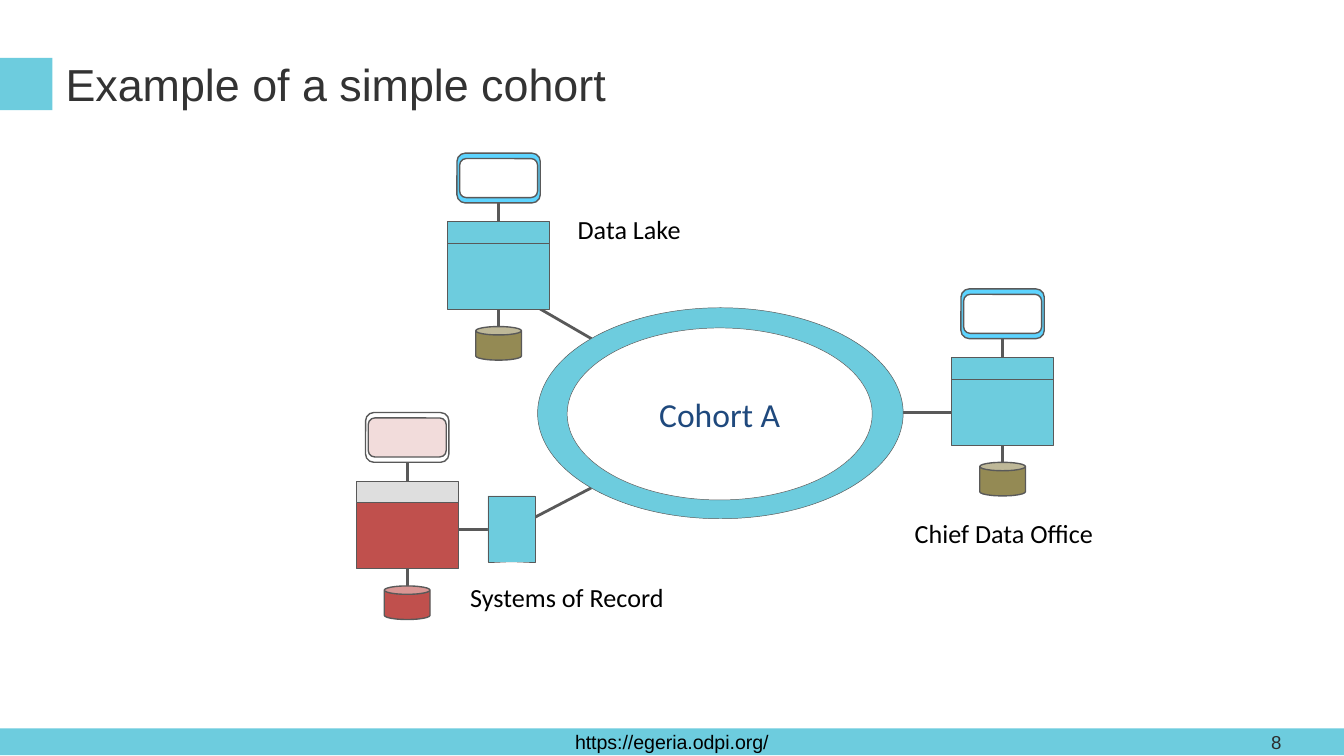
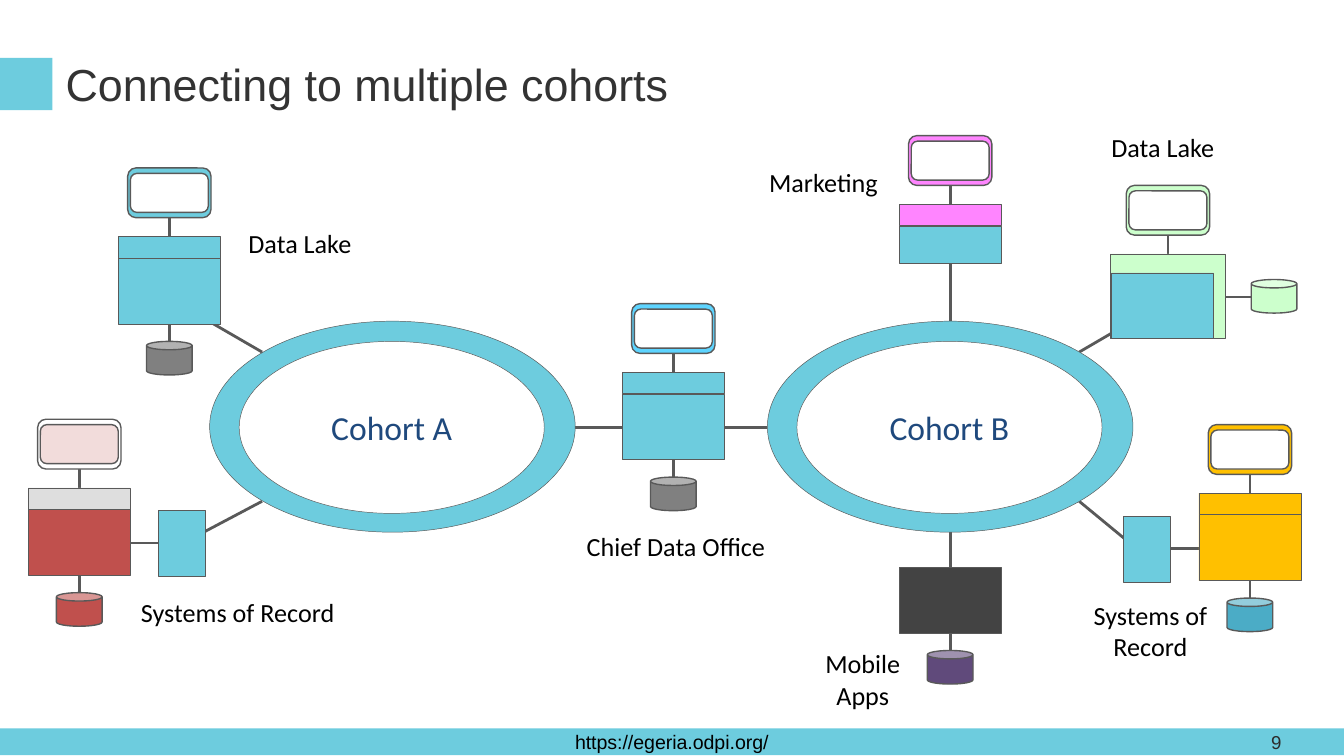
"""Build two slides showing systems that connect through metadata cohorts."""
from dataclasses import dataclass

from lxml import etree
from pptx import Presentation
from pptx.dml.color import RGBColor
from pptx.enum.shapes import MSO_CONNECTOR, MSO_SHAPE
from pptx.enum.text import MSO_ANCHOR, PP_ALIGN
from pptx.oxml.ns import qn
from pptx.util import Inches, Pt

RECT, ROUND = MSO_SHAPE.RECTANGLE, MSO_SHAPE.ROUNDED_RECTANGLE
OVAL, CAN = MSO_SHAPE.OVAL, MSO_SHAPE.CAN
STRAIGHT = MSO_CONNECTOR.STRAIGHT
LEFT, CENTER, RIGHT = PP_ALIGN.LEFT, PP_ALIGN.CENTER, PP_ALIGN.RIGHT
TOP, MIDDLE = MSO_ANCHOR.TOP, MSO_ANCHOR.MIDDLE


@dataclass(frozen=True)
class Theme:
    teal: str = "6DCCDE"
    sky: str = "5DD4FF"
    white: str = "FFFFFF"
    black: str = "000000"
    outline: str = "595959"
    title: str = "333333"
    number: str = "2C2C2C"
    navy: str = "1F497D"
    red: str = "C0504D"
    blush: str = "F2DCDB"
    silver: str = "DEDEDE"
    olive: str = "948A54"
    gray: str = "808080"
    amber: str = "FFC000"
    blue: str = "4BACC6"
    pink: str = "FF85FF"
    mint: str = "CCFFCC"
    charcoal: str = "434343"
    purple: str = "604A7B"
    heading_font: str = "Arial"
    diagram_font: str = "Calibri"
    title_size: float = 24
    cohort_size: float = 18
    label_size: float = 14
    footer_size: float = 10.5
    number_size: float = 10
    hairline: float = 0.25
    thin: float = 0.75
    link: float = 1.5


T = Theme()


def add_block(slide, preset, at, fill, weight=0):
    block = slide.shapes.add_shape(preset, *map(Inches, at))
    block.shadow.inherit = False
    block.fill.solid()
    block.fill.fore_color.rgb = RGBColor.from_string(fill)
    if weight:
        block.line.color.rgb = RGBColor.from_string(T.outline)
        block.line.width = Pt(weight)
    else:
        block.line.fill.background()
    return block


def write(holder, lines, size, font, color, align=LEFT, anchor=TOP, inset=0.05):
    frame = holder.text_frame
    frame.word_wrap = True
    frame.vertical_anchor = anchor
    frame.margin_left = frame.margin_right = Inches(0.1)
    frame.margin_top = frame.margin_bottom = Inches(inset)
    for index, line in enumerate(lines):
        paragraph = frame.add_paragraph() if index else frame.paragraphs[0]
        paragraph.alignment = align
        run = paragraph.add_run()
        run.text = line
        run.font.size = Pt(size)
        run.font.name = font
        run.font.color.rgb = RGBColor.from_string(color)


# Systems: centre, header top, body height, then colours of
# screen frame, screen, header, body and data store.
pages = [
    {
        "title": "Example of a simple cohort",
        "number": "8",
        "cohorts": [("Cohort A", 4, 2.29)],
        "links": [
            (3.71, 2.12, 4.4, 2.52), (3.71, 3.99, 4.4, 3.63),
            (6.72, 3.07, 7.08, 3.07), (3.41, 3.94, 3.63, 3.94),
        ],
        "adapters": [(3.63, 3.69)],
        "systems": [
            (3.71, 1.65, 0.49, T.sky, T.white, T.teal, T.teal, T.olive),
            (7.46, 2.66, 0.49, T.sky, T.white, T.teal, T.teal, T.olive),
            (3.03, 3.58, 0.49, T.white, T.blush, T.silver, T.red, T.red),
        ],
        "extras": [],
        "labels": [
            (["Chief Data Office"], 6.64, 3.8, 1.66, 0.34, CENTER),
            (["Data Lake"], 4.2, 1.54, 1.66, 0.34, LEFT),
            (["Systems of Record"], 3.4, 4.28, 1.66, 0.34, LEFT),
        ],
    },
    {
        "title": "Connecting to multiple cohorts",
        "number": "9",
        "cohorts": [("Cohort A", 1.56, 2.39), ("Cohort B", 5.71, 2.39)],
        "links": [
            (1.26, 2.22, 1.95, 2.62), (1.27, 4.09, 1.95, 3.73),
            (4.28, 3.18, 4.63, 3.18), (5.39, 3.18, 5.71, 3.18),
            (8.51, 2.34, 8.03, 2.62), (8.43, 4.06, 8.03, 3.73),
            (7.07, 1.86, 7.07, 2.39), (7.07, 4.22, 7.07, 3.96),
            (0.96, 4.04, 1.18, 4.04), (8.92, 4.08, 8.71, 4.08),
            (9.31, 2.21, 9.12, 2.21),
        ],
        "adapters": [(1.18, 3.8), (8.36, 3.84)],
        "systems": [
            (1.26, 1.76, 0.49, T.teal, T.white, T.teal, T.teal, T.gray),
            (0.59, 3.63, 0.49, T.white, T.blush, T.silver, T.red, T.red),
            (5.01, 2.77, 0.49, T.sky, T.white, T.teal, T.teal, T.gray),
            (9.3, 3.67, 0.49, T.amber, T.white, T.amber, T.amber, T.blue),
            (7.07, 1.52, 0.28, T.pink, T.white, T.pink, T.teal, None),
            (7.07, 4.06, 0.49, None, None, None, T.charcoal, T.purple),
            (8.69, 1.89, 0.49, T.mint, T.white, None, None, None),
        ],
        "extras": [
            (RECT, (8.26, 1.89, 0.86, 0.63), T.mint, T.hairline),
            (RECT, (8.27, 2.03, 0.76, 0.49), T.teal, T.hairline),
            (CAN, (9.31, 2.08, 0.34, 0.25), T.mint, T.thin),
        ],
        "labels": [
            (["Chief Data Office"], 4.2, 3.9, 1.66, 0.34, CENTER),
            (["Data Lake"], 1.75, 1.64, 1.66, 0.34, LEFT),
            (["Systems of Record"], 0.95, 4.39, 1.66, 0.34, LEFT),
            (["Mobile", "Apps"], 6.02, 4.77, 0.8, 0.57, CENTER),
            (["Data Lake"], 8.17, 0.93, 1.02, 0.34, LEFT),
            (["Systems of Record"], 7.8, 4.41, 1.52, 0.57, CENTER),
            (["Marketing"], 5.47, 1.19, 1.16, 0.34, RIGHT),
        ],
    },
]

deck = Presentation()
deck.slide_width = Inches(10)
deck.slide_height = deck.slide_width * 9 // 16

for page in pages:
    slide = deck.slides.add_slide(deck.slide_layouts[6])

    footer = add_block(slide, RECT, (0, 5.42, 10, 0.2), T.teal)
    write(footer, ["https://egeria.odpi.org/"], T.footer_size, T.heading_font,
          T.black, CENTER, MIDDLE)
    add_block(slide, RECT, (0, 0.43, 0.39, 0.39), T.teal)
    heading = slide.shapes.add_textbox(*map(Inches, (0.39, 0.32, 9.27, 0.62)))
    write(heading, [page["title"]], T.title_size, T.heading_font, T.title, inset=0.1)
    number = slide.shapes.add_textbox(*map(Inches, (9.36, 5.42, 0.6, 0.2)))
    write(number, [page["number"]], T.number_size, T.heading_font, T.number,
          anchor=MIDDLE, inset=0.1)

    links = list(page["links"])
    for center, top, height, frame, _, _, _, store in page["systems"]:
        if frame:
            links.append((center, top, center, top - 0.14))
        if store:
            links.append((center, top + 0.78, center, top + 0.16 + height))
    for ends in links:
        link = slide.shapes.add_connector(STRAIGHT, *map(Inches, ends))
        link.line.color.rgb = RGBColor.from_string(T.outline)
        link.line.width = Pt(T.link)
        etree.SubElement(link._element.spPr, qn("a:effectLst"))

    for name, left, top in page["cohorts"]:
        add_block(slide, OVAL, (left, top, 2.72, 1.57), T.teal, T.hairline)
        core = add_block(slide, OVAL, (left + 0.22, top + 0.15, 2.27, 1.28),
                         T.white, T.hairline)
        write(core, [name], T.cohort_size, T.diagram_font, T.navy, CENTER, MIDDLE)

    for left, top in page["adapters"]:
        add_block(slide, RECT, (left, top, 0.35, 0.49), T.teal, T.hairline)

    for center, top, height, frame, screen, header, body, store in page["systems"]:
        parts = [
            (RECT, 0.16, 0.76, height, body, T.hairline),
            (ROUND, -0.51, 0.62, 0.37, frame, T.thin),
            (ROUND, -0.47, 0.58, 0.29, screen, T.thin),
            (RECT, 0, 0.76, 0.16, header, T.hairline),
            (CAN, 0.78, 0.34, 0.25, store, T.thin),
        ]
        for preset, drop, wide, high, fill, weight in parts:
            if fill:
                add_block(slide, preset, (center - wide / 2, top + drop, wide, high),
                          fill, weight)

    for preset, at, fill, weight in page["extras"]:
        add_block(slide, preset, at, fill, weight)

    for lines, left, top, width, height, align in page["labels"]:
        label = slide.shapes.add_textbox(*map(Inches, (left, top, width, height)))
        write(label, lines, T.label_size, T.diagram_font, T.black, align)

deck.save("out.pptx")
